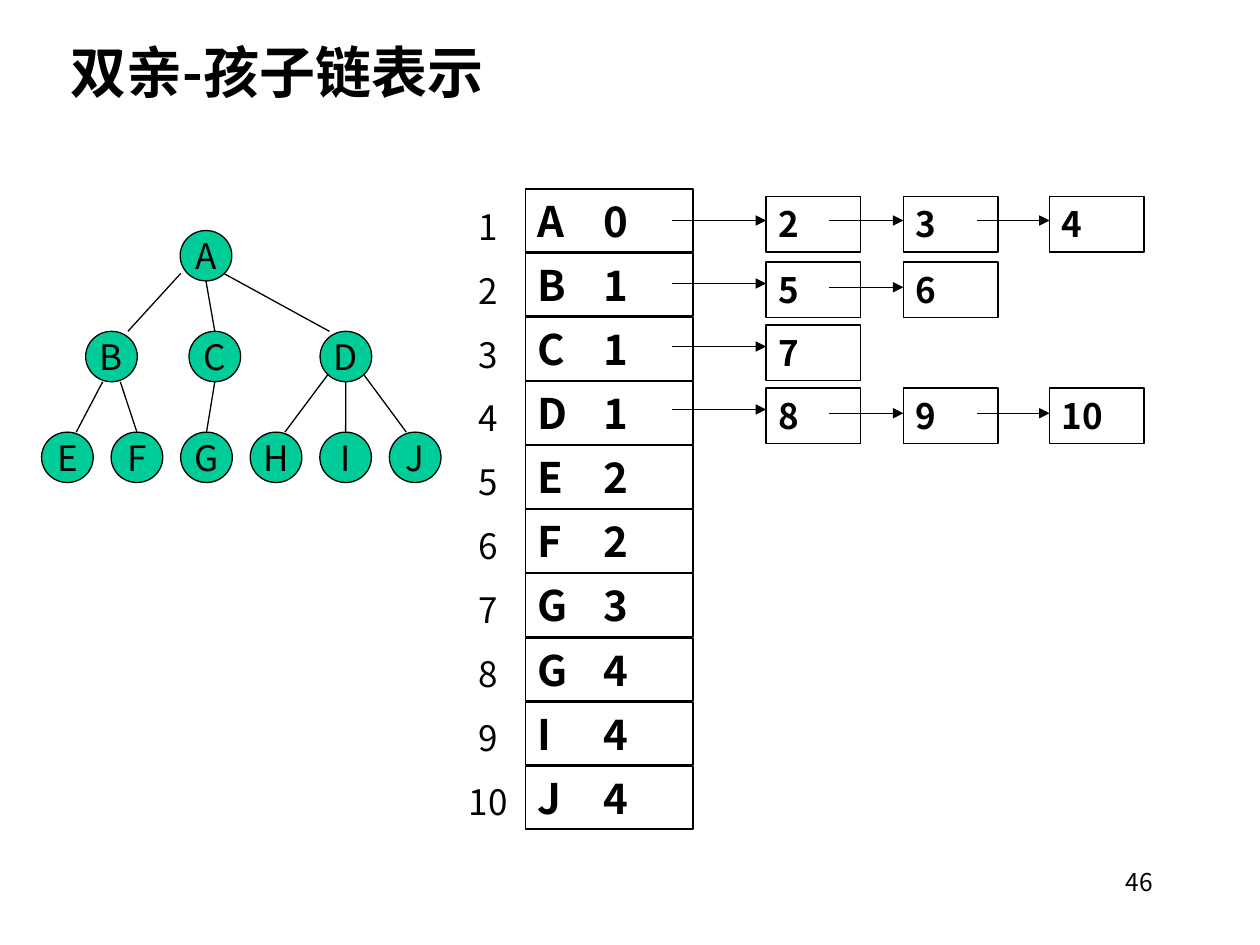
from lxml.etree import SubElement
from pptx import Presentation
from pptx.dml.color import RGBColor
from pptx.enum.shapes import MSO_CONNECTOR, MSO_SHAPE
from pptx.enum.text import MSO_ANCHOR, PP_ALIGN
from pptx.oxml.ns import qn
from pptx.util import Inches, Pt

FONT = "Noto Sans CJK JP"
BLACK, GREEN = "000000", "00CC99"

# Content
TITLE = "双亲-孩子链表示"
PAGE = "46"
ROWS = [("A", 0), ("B", 1), ("C", 1), ("D", 1), ("E", 2),
        ("F", 2), ("G", 3), ("G", 4), ("I", 4), ("J", 4)]
# Child lists: box top, first arrow y, later arrows y, row numbers
CHAINS = [(1.56, 1.75, 1.75, [2, 3, 4]),
          (2.08, 2.25, 2.28, [5, 6]),
          (2.58, 2.75, 2.75, [7]),
          (3.08, 3.25, 3.28, [8, 9, 10])]
# Tree nodes: left, level
NODES = {"A": (1.43, 0), "B": (0.68, 1), "C": (1.5, 1), "D": (2.54, 1)}
NODES.update({name: (0.33 + 0.552 * i, 2) for i, name in enumerate("EFGHIJ")})
# Tree edges: parent, child, offset from parent centre, offset from child top
EDGES = [("A", "B", -0.2, 0.14, 0.13), ("A", "C", 0, 0.2, 0),
         ("A", "D", 0.14, 0.14, -0.13), ("B", "E", -0.07, 0.2, 0.07),
         ("B", "F", 0.07, 0.2, 0), ("C", "G", 0, 0.2, 0),
         ("D", "H", -0.14, 0.14, 0.07), ("D", "I", 0, 0.2, 0),
         ("D", "J", 0.14, 0.14, -0.07)]

# Layout
NODE_W, NODE_H, TREE_TOP, LEVEL = 0.41, 0.4, 1.83, 0.8
ROW_X, ROW_Y, ROW_W, ROW_H, PITCH = 4.17, 1.5, 1.33, 0.5, 0.509
LINK_X, LINK_W, LINK_H = [6.08, 7.17, 8.33], 0.75, 0.44
TAIL_X = [5.33, 6.58, 7.75]

deck = Presentation()
deck.slide_width, deck.slide_height = Inches(10), Inches(7.5)
slide = deck.slides.add_slide(deck.slide_layouts[6])
shapes = slide.shapes


def color(code):
    return RGBColor.from_string(code)


def write(shape, lines, size, bold=False, align=PP_ALIGN.LEFT,
          anchor=MSO_ANCHOR.TOP, wrap=True, gap=0, tab=None):
    frame = shape.text_frame
    frame.word_wrap, frame.vertical_anchor = wrap, anchor
    for i, line in enumerate(lines):
        para = frame.paragraphs[0] if i == 0 else frame.add_paragraph()
        look = {"alignment": align, "line_spacing": Pt(size * 1.2),
                "space_before": Pt(gap)}
        for key, value in look.items():
            setattr(para, key, value)
        if tab:
            stops = SubElement(para._p.get_or_add_pPr(), qn("a:tabLst"))
            SubElement(stops, qn("a:tab"), pos=str(Inches(tab)), algn="l")
        run = para.add_run()
        run.text = line
        for key, value in {"size": Pt(size), "bold": bold, "name": FONT}.items():
            setattr(run.font, key, value)
        run.font.color.rgb = color(BLACK)
        SubElement(run._r.get_or_add_rPr(), qn("a:ea"), typeface=FONT)


def label(box, lines, size, **look):
    write(shapes.add_textbox(*map(Inches, box)), lines, size, **look)


def block(kind, box, text, size, fill=None, **look):
    shape = shapes.add_shape(kind, *map(Inches, box))
    shape.shadow.inherit = False
    if fill:
        shape.fill.solid()
        shape.fill.fore_color.rgb = color(fill)
    else:
        shape.fill.background()
    shape.line.color.rgb = color(BLACK)
    shape.line.width = Pt(0.75)
    write(shape, [text], size, **look)


def link(x1, y1, x2, y2, arrow=False):
    wire = shapes.add_connector(MSO_CONNECTOR.STRAIGHT,
                                *map(Inches, (x1, y1, x2, y2)))
    wire.line.color.rgb = color(BLACK)
    wire.line.width = Pt(0.75)
    if arrow:
        SubElement(wire.line._get_or_add_ln(), qn("a:tailEnd"), type="triangle")
    SubElement(wire._element.spPr, qn("a:effectLst"))


# Title
label((0.46, 0.25, 3.79, 0.64), [TITLE], 32, bold=True)

# Tree
for name, (x, level) in NODES.items():
    block(MSO_SHAPE.OVAL, (x, TREE_TOP + level * LEVEL, NODE_W, NODE_H), name,
          20, GREEN, align=PP_ALIGN.CENTER, anchor=MSO_ANCHOR.MIDDLE, wrap=False)
for top, low, dx, dy, end in EDGES:
    (x1, level), (x2, below) = NODES[top], NODES[low]
    link(x1 + NODE_W / 2 + dx, TREE_TOP + level * LEVEL + NODE_H / 2 + dy,
         x2 + NODE_W / 2 + end, TREE_TOP + below * LEVEL)

# Parent array with row numbers
for i, (name, parent) in enumerate(ROWS):
    block(MSO_SHAPE.RECTANGLE, (ROW_X, ROW_Y + i * PITCH, ROW_W, ROW_H),
          f"{name}\t{parent}", 24, bold=True, tab=0.52)
label((3.5, 1.58, 0.75, 5), [str(i + 1) for i in range(len(ROWS))], 20,
      align=PP_ALIGN.CENTER, gap=12.5)

# Child chains
for y, first, later, kids in CHAINS:
    for i, kid in enumerate(kids):
        block(MSO_SHAPE.RECTANGLE, (LINK_X[i], y, LINK_W, LINK_H), str(kid),
              20, bold=True)
    for i in range(len(kids)):
        level = later if i else first
        link(TAIL_X[i], level, LINK_X[i], level, arrow=True)

# Page number
label((7.17, 6.83, 2.08, 0.5), [PAGE], 14, align=PP_ALIGN.RIGHT)

deck.save("out.pptx")
